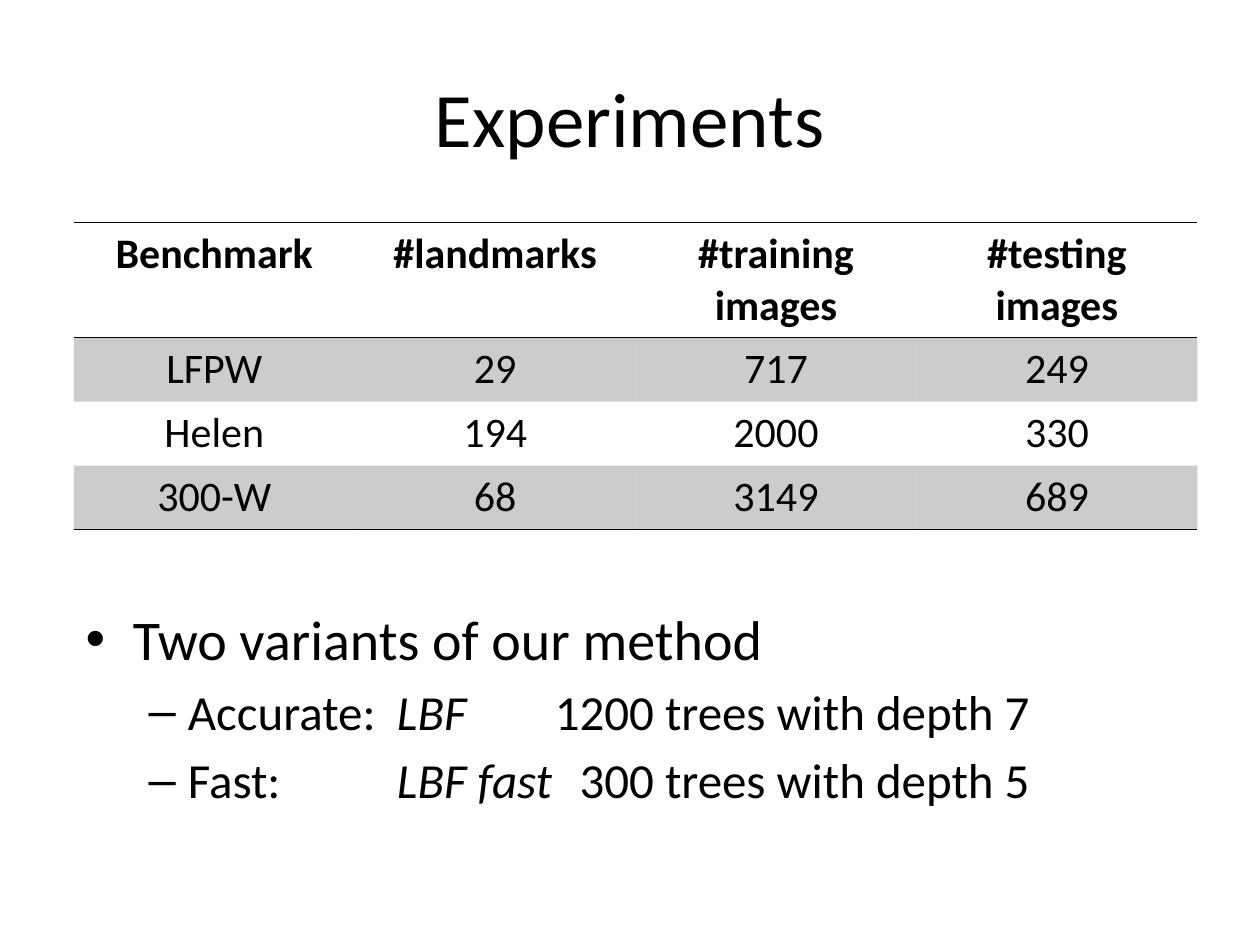
from pptx import Presentation
from pptx.dml.color import RGBColor
from pptx.enum.text import MSO_ANCHOR, PP_ALIGN
from pptx.oxml import parse_xml
from pptx.oxml.ns import nsdecls, qn
from pptx.util import Pt

TITLE = "Experiments"
ROWS = [
    ("Benchmark", "#landmarks", "#training images", "#testing images"),
    ("LFPW", "29", "717", "249"),
    ("Helen", "194", "2000", "330"),
    ("300-W", "68", "3149", "689"),
]
BULLETS = [
    (0, ["Two variants of our method"]),
    (1, ["Accurate:", "LBF", "1200 trees with depth 7"]),
    (1, ["Fast:", "LBF fast", "300 trees with depth 5"]),
]
THEME = {
    "font": "Calibri", "ink": "000000", "band_alpha": 20,
    "title": 44, "table": 24,
    "levels": [
        {"size": 32, "left": 27, "hang": 27, "before": 0, "mark": "•"},
        {"size": 28, "left": 58.5, "hang": 22.5, "before": 5.5, "mark": "–"},
    ],
    "tabs": [(178, "l"), (539.5, "r")],
}
TITLE_BOX = (36, 21.6, 648, 90)
BODY_BOX = (41.8, 342, 648, 131.8)
TABLE_BOX = (42.2, 127.2, 642, 175.5)
HEADER_H = 65.7
NO_STYLE = "{2D5ABB26-0587-4C30-8999-92F81FD0307C}"


def set_font(font, size, **extra):
    values = {"name": THEME["font"], "size": Pt(size), **extra}
    for name, value in values.items():
        setattr(font, name, value)
    font.color.rgb = RGBColor.from_string(THEME["ink"])


def add_text_box(s, box, anchor):
    tf = s.shapes.add_textbox(*map(Pt, box)).text_frame
    tf.word_wrap = True
    tf.vertical_anchor = anchor
    return tf


def add_title(s):
    p = add_text_box(s, TITLE_BOX, MSO_ANCHOR.MIDDLE).paragraphs[0]
    p.text = TITLE
    p.alignment = PP_ALIGN.CENTER
    set_font(p.runs[0].font, THEME["title"])


def style_cell(cell, edges, banded):
    tcPr = cell._tc.get_or_add_tcPr()
    if banded:
        cell.fill.solid()
        cell.fill.fore_color.rgb = RGBColor.from_string(THEME["ink"])
        tcPr.find(".//" + qn("a:srgbClr")).append(parse_xml(
            f'<a:alpha {nsdecls("a")} val="{THEME["band_alpha"] * 1000}"/>'))
    else:
        cell.fill.background()
    for i, edge in enumerate(edges):
        tcPr.insert(i, parse_xml(
            f'<a:ln{edge} {nsdecls("a")} w="{Pt(1)}"><a:solidFill>'
            f'<a:srgbClr val="{THEME["ink"]}"/></a:solidFill></a:ln{edge}>'))


def add_benchmarks(s):
    shape = s.shapes.add_table(len(ROWS), len(ROWS[0]), *map(Pt, TABLE_BOX))
    table = shape.table
    table.horz_banding = False
    table._tbl.tblPr.find(qn("a:tableStyleId")).text = NO_STYLE
    row_h = (TABLE_BOX[3] - HEADER_H) / (len(ROWS) - 1)
    edges = {0: "TB", len(ROWS) - 1: "B"}
    for i, values in enumerate(ROWS):
        table.rows[i].height = Pt(row_h if i else HEADER_H)
        for j, value in enumerate(values):
            cell = table.cell(i, j)
            p = cell.text_frame.paragraphs[0]
            p.text = value
            p.alignment = PP_ALIGN.CENTER
            set_font(p.runs[0].font, THEME["table"], bold=i == 0)
            style_cell(cell, edges.get(i, ""), i % 2 == 1)


def format_bullet(p, level, tabbed):
    fmt = THEME["levels"][level]
    p.level = level
    p.space_before = Pt(fmt["before"])
    pPr = p._p.get_or_add_pPr()
    pPr.set("marL", str(Pt(fmt["left"])))
    pPr.set("indent", str(-Pt(fmt["hang"])))
    pPr.append(parse_xml(f'<a:buFont {nsdecls("a")} typeface="Arial"/>'))
    pPr.append(parse_xml(f'<a:buChar {nsdecls("a")} char="{fmt["mark"]}"/>'))
    if tabbed:
        stops = "".join(f'<a:tab pos="{Pt(pos)}" algn="{side}"/>'
                        for pos, side in THEME["tabs"])
        pPr.append(parse_xml(f'<a:tabLst {nsdecls("a")}>{stops}</a:tabLst>'))
    return fmt["size"]


def add_variants(s):
    tf = add_text_box(s, BODY_BOX, MSO_ANCHOR.TOP)
    for i, (level, parts) in enumerate(BULLETS):
        p = tf.add_paragraph() if i else tf.paragraphs[0]
        size = format_bullet(p, level, len(parts) > 1)
        for j, part in enumerate(parts):
            r = p.add_run()
            r.text = "\t" + part if j else part
            set_font(r.font, size, italic=j == 1)


def main():
    prs = Presentation()
    prs.slide_width, prs.slide_height = Pt(720), Pt(540)
    s = prs.slides.add_slide(prs.slide_layouts[6])
    add_title(s)
    add_variants(s)
    add_benchmarks(s)
    prs.save("out.pptx")


if __name__ == "__main__":
    main()
